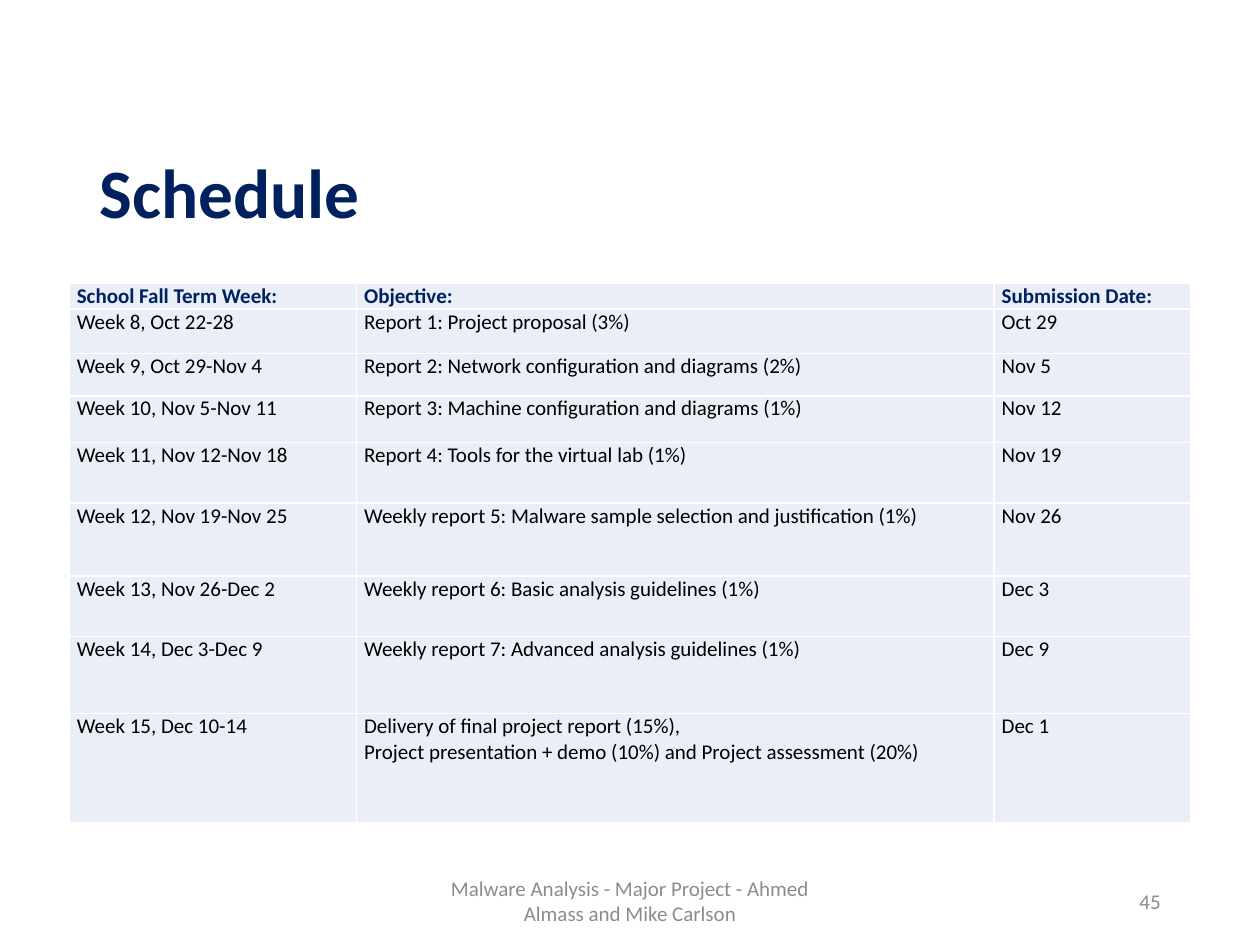
import pptx
import pptx.util
import pptx.dml.color
import pptx.enum.text
import lxml.etree
from pptx.oxml.ns import qn

Inches = pptx.util.Inches
ALIGN = pptx.enum.text.PP_ALIGN
MIDDLE = pptx.enum.text.MSO_ANCHOR.MIDDLE
COLORS = {"navy": "002060", "black": "000000", "gray": "8C8C8C", "cell": "EAEFF7", "border": "FFFFFF"}


def style(paragraph, size, color, bold=False):
    paragraph.font.name = "Calibri"
    paragraph.font.size = pptx.util.Pt(size)
    paragraph.font.bold = bold
    paragraph.font.color.rgb = pptx.dml.color.RGBColor.from_string(COLORS[color])


def add_borders(cell):
    properties = cell._tc.get_or_add_tcPr()
    for side in ("a:lnL", "a:lnR", "a:lnT", "a:lnB"):
        line = lxml.etree.SubElement(properties, qn(side), w="12700")
        fill = lxml.etree.SubElement(line, qn("a:solidFill"))
        lxml.etree.SubElement(fill, qn("a:srgbClr"), val=COLORS["border"])


deck = pptx.Presentation()
deck.slide_width = Inches(10)
deck.slide_height = Inches(7.5)
slide = deck.slides.add_slide(deck.slide_layouts[5])

title = slide.shapes.title
title.left, title.top, title.width, title.height = Inches(0.69), Inches(1.24), Inches(8.62), Inches(0.63)
title.text_frame.text = "Schedule"
title.text_frame.vertical_anchor = MIDDLE
heading = title.text_frame.paragraphs[0]
heading.alignment = ALIGN.LEFT
heading.line_spacing = 0.9
style(heading, 39.6, "navy", True)

schedule = [
    ("School Fall Term Week:", "Objective:", "Submission Date:"),
    ("Week 8, Oct 22-28", "Report 1: Project proposal (3%)", "Oct 29"),
    ("Week 9, Oct 29-Nov 4", "Report 2: Network configuration and diagrams (2%)", "Nov 5"),
    ("Week 10, Nov 5-Nov 11", "Report 3: Machine configuration and diagrams (1%)", "Nov 12"),
    ("Week 11, Nov 12-Nov 18", "Report 4: Tools for the virtual lab (1%)", "Nov 19"),
    ("Week 12, Nov 19-Nov 25", "Weekly report 5: Malware sample selection and justification (1%)", "Nov 26"),
    ("Week 13, Nov 26-Dec 2", "Weekly report 6: Basic analysis guidelines (1%)", "Dec 3"),
    ("Week 14, Dec 3-Dec 9", "Weekly report 7: Advanced analysis guidelines (1%)", "Dec 9"),
    ("Week 15, Dec 10-14",
     "Delivery of final project report (15%),\nProject presentation + demo (10%) and Project assessment (20%)",
     "Dec 1"),
]
column_widths = [2.28, 5.06, 1.56]
row_heights = [0.2, 0.35, 0.34, 0.37, 0.48, 0.58, 0.48, 0.61, 0.87]

table = slide.shapes.add_table(
    len(schedule), len(column_widths), Inches(0.55), Inches(2.25),
    Inches(sum(column_widths)), Inches(sum(row_heights))).table
for column, width in zip(table.columns, column_widths):
    column.width = Inches(width)
for row_index, (row, height, entries) in enumerate(zip(table.rows, row_heights, schedule)):
    row.height = Inches(height)
    is_header = row_index == 0
    for cell, entry in zip(row.cells, entries):
        cell.text = entry
        cell.margin_left = cell.margin_right = Inches(0.06)
        cell.margin_top = cell.margin_bottom = 0
        add_borders(cell)
        cell.fill.solid()
        cell.fill.fore_color.rgb = pptx.dml.color.RGBColor.from_string(COLORS["cell"])
        for paragraph in cell.text_frame.paragraphs:
            style(paragraph, 12, "navy" if is_header else "black", is_header)

for text, left, width, alignment in [
    ("Malware Analysis - Major Project - Ahmed Almass and Mike Carlson", 3.31, 3.38, ALIGN.CENTER),
    ("45", 7.06, 2.25, ALIGN.RIGHT),
]:
    footer = slide.shapes.add_textbox(Inches(left), Inches(6.95), Inches(width), Inches(0.4)).text_frame
    footer.word_wrap = True
    footer.vertical_anchor = MIDDLE
    footer.text = text
    footer.paragraphs[0].alignment = alignment
    style(footer.paragraphs[0], 12, "gray")

deck.save("out.pptx")
